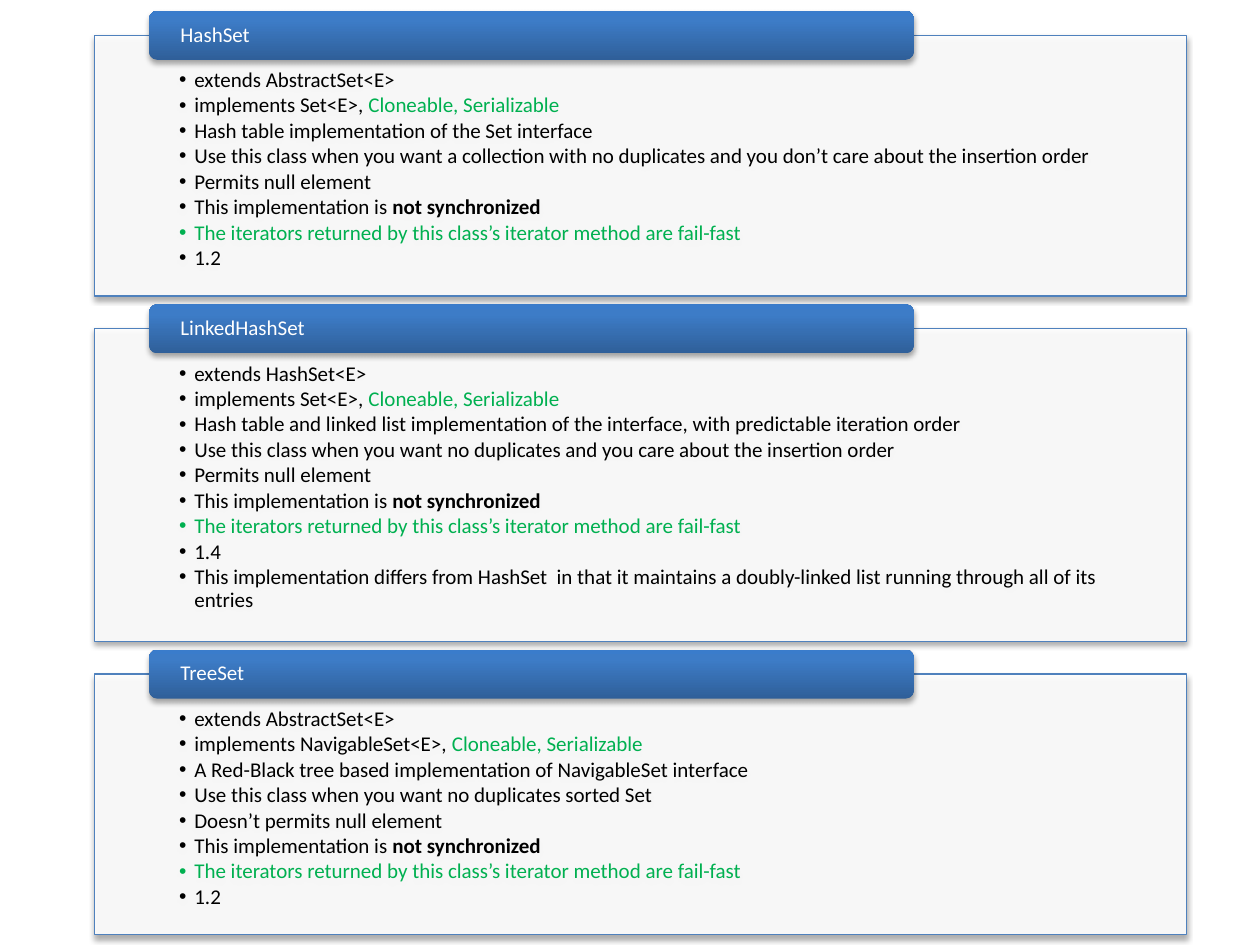
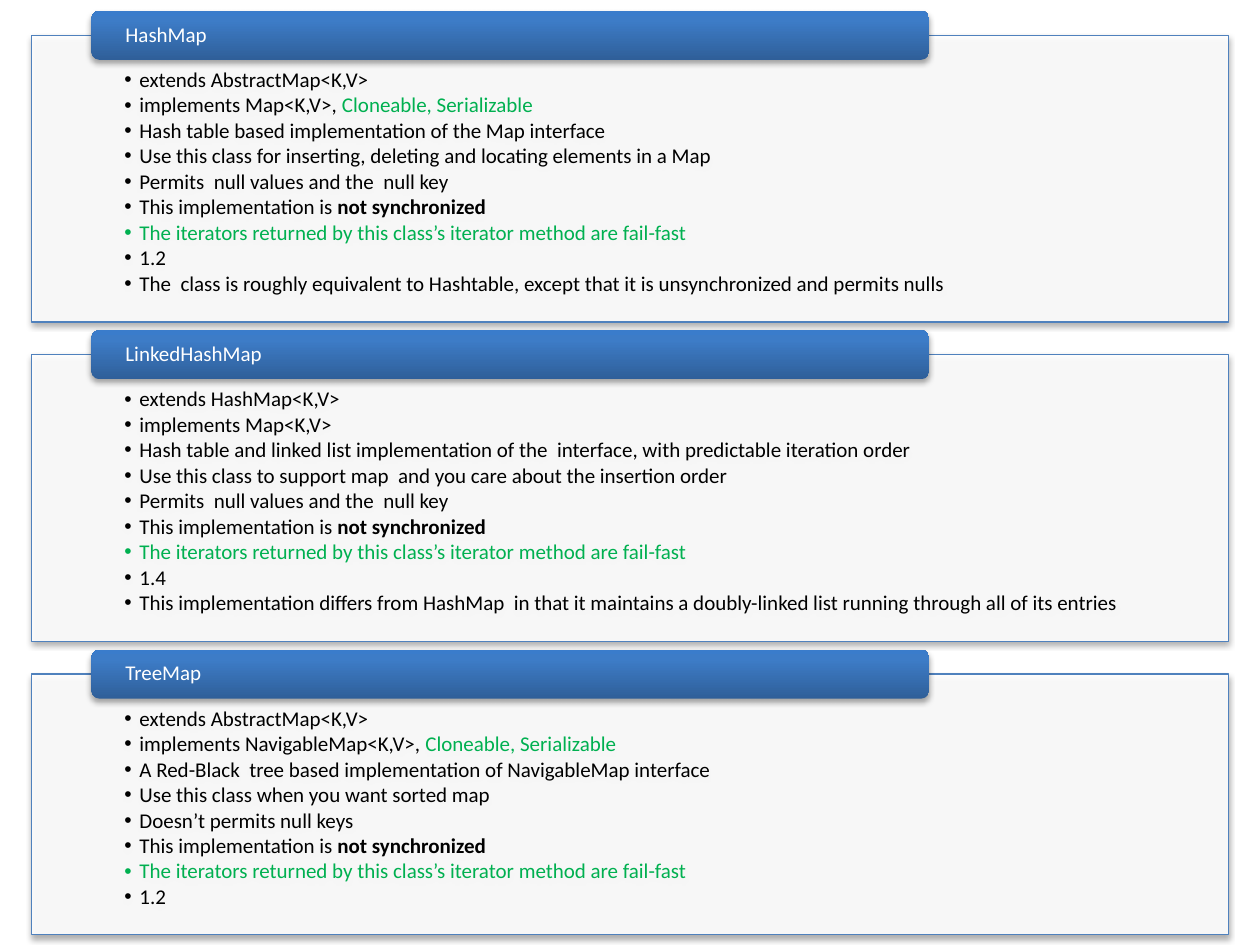
import copy

import pptx
import pptx.dml.color
import pptx.enum.shapes
import pptx.enum.text
import pptx.oxml.ns
import pptx.oxml.xmlchemy
import pptx.util
from lxml import etree
from pptx.util import Inches

# Shared look
FONT = "Calibri"
TEXT_SIZE = 12
BLACK, WHITE, GREEN, BLUE = "000000", "FFFFFF", "00B050", "4F81BD"
TAB_GRADIENT = [(0, "2F5F99"), (0.8, "3D7CC7"), (1, "3A7CCB")]

# Shared vertical rhythm, in inches
FIRST_TOP = 0.28
PANEL_GAP = 0.26
PANEL_PADDING = 0.43
LINE_HEIGHT = 0.205
TAB_HEIGHT = 0.39

# Bullets are lists of (text, colour, bold) spans
NOT_SYNCHRONIZED = [("This implementation is ", BLACK, False),
                    ("not synchronized", BLACK, True)]
FAIL_FAST = [("The iterators returned by this class’s iterator method are fail-fast",
              GREEN, False)]


def plain(text):
    return [(text, BLACK, False)]


def implements(interface):
    return [(f"implements {interface}, ", BLACK, False),
            ("Cloneable, Serializable", GREEN, False)]


def class_bullets(parent, interface, description, usage, nulls, version, *remarks):
    """The bullets that every collection class has, in their fixed order."""
    return [plain(f"extends {parent}"), interface, plain(description), plain(usage),
            plain(nulls), NOT_SYNCHRONIZED, FAIL_FAST, plain(version),
            *[plain(remark) for remark in remarks]]


# Each panel: class name, number of text lines, bullets
SETS = [
    ("HashSet", 8, class_bullets(
        "AbstractSet<E>", implements("Set<E>"),
        "Hash table implementation of the Set interface",
        "Use this class when you want a collection with no duplicates "
        "and you don’t care about the insertion order",
        "Permits null element", "1.2")),
    ("LinkedHashSet", 10, class_bullets(
        "HashSet<E>", implements("Set<E>"),
        "Hash table and linked list implementation of the\u00a0interface, "
        "with predictable iteration order",
        "Use this class when you want no duplicates and you care about the insertion order",
        "Permits null element", "1.4",
        "This implementation differs from\u00a0HashSet \u00a0in that it maintains "
        "a doubly-linked list running through all of its entries")),
    ("TreeSet", 8, class_bullets(
        "AbstractSet<E>", implements("NavigableSet<E>"),
        "A Red-Black tree based implementation of NavigableSet interface",
        "Use this class when you want no duplicates sorted Set",
        "Doesn’t permits null element", "1.2")),
]
NULL_KEY = "Permits\u00a0\u00a0null values and the\u00a0 null\u00a0key"
MAPS = [
    ("HashMap", 9, class_bullets(
        "AbstractMap<K,V>", implements("Map<K,V>"),
        "Hash table based implementation of the\u00a0Map interface",
        "Use this class for inserting, deleting and locating elements in a Map",
        NULL_KEY, "1.2",
        "The\u00a0\u00a0class is roughly equivalent to\u00a0Hashtable, "
        "except that it is unsynchronized and permits nulls")),
    ("LinkedHashMap", 9, class_bullets(
        "HashMap<K,V>", plain("implements Map<K,V>"),
        "Hash table and linked list implementation of the\u00a0\u00a0interface, "
        "with predictable iteration order",
        "Use this class to support map  and you care about the insertion order",
        NULL_KEY, "1.4",
        "This implementation differs from HashMap\u00a0\u00a0in that it maintains "
        "a doubly-linked list running through all of its entries")),
    ("TreeMap", 8, class_bullets(
        "AbstractMap<K,V>", implements("NavigableMap<K,V>"),
        "A Red-Black  tree based implementation of NavigableMap interface",
        "Use this class when you want sorted map",
        "Doesn’t permits null keys", "1.2")),
]


def color(hex_string):
    return pptx.dml.color.RGBColor.from_string(hex_string)


def add_element(parent, tag, **attributes):
    return etree.SubElement(parent, pptx.oxml.ns.qn(tag), attributes)


def add_box(page, kind, left, top, width, height):
    """A preset shape with the soft shadow below it."""
    box = page.shapes.add_shape(kind, Inches(left), Inches(top),
                                Inches(width), Inches(height))
    box.shadow.inherit = False
    effects = box._element.spPr.find(pptx.oxml.ns.qn("a:effectLst"))
    shadow = add_element(effects, "a:outerShdw", blurRad="39400", dist="22900",
                         dir="5400000", rotWithShape="0")
    shade = add_element(shadow, "a:srgbClr", val=BLACK)
    add_element(shade, "a:alpha", val="35000")
    return box


def set_frame(box, side, top, bottom, anchor):
    frame = box.text_frame
    frame.word_wrap = True
    frame.vertical_anchor = anchor
    frame.margin_left = frame.margin_right = Inches(side)
    frame.margin_top, frame.margin_bottom = Inches(top), Inches(bottom)
    return frame


def write_spans(para, spans):
    para.alignment = pptx.enum.text.PP_ALIGN.LEFT
    para.line_spacing = 0.9
    for text, hex_string, bold in spans:
        span = para.add_run()
        span.text = text
        span.font.name = FONT
        span.font.size = pptx.util.Pt(TEXT_SIZE)
        span.font.bold = bold
        span.font.color.rgb = color(hex_string)


def make_bullet(para):
    para.level = 1
    para.space_after = pptx.util.Pt(1.6)
    properties = para._p.get_or_add_pPr()
    properties.set("marL", str(Inches(0.12)))
    properties.set("indent", str(Inches(-0.12)))
    add_element(properties, "a:buFont", typeface="Arial")
    add_element(properties, "a:buChar", char="•")


def add_panel(page, left, top, width, height, bullets):
    panel = add_box(page, pptx.enum.shapes.MSO_SHAPE.RECTANGLE, left, top, width, height)
    panel.fill.solid()
    panel.fill.fore_color.rgb = color(WHITE)
    fill = panel._element.spPr.find(pptx.oxml.ns.qn("a:solidFill"))
    add_element(fill[0], "a:alpha", val="90000")
    panel.line.color.rgb = color(BLUE)
    panel.line.width = pptx.util.Pt(0.75)
    frame = set_frame(panel, 0.0776 * width, 0.27, 0.09, pptx.enum.text.MSO_ANCHOR.TOP)
    for index, spans in enumerate(bullets):
        para = frame.add_paragraph() if index else frame.paragraphs[0]
        write_spans(para, spans)
        make_bullet(para)


def add_tab(page, left, top, width, name):
    """The class name on a gradient tab over the panel's upper edge."""
    tab = add_box(page, pptx.enum.shapes.MSO_SHAPE.ROUNDED_RECTANGLE,
                  left + 0.05 * width, top - TAB_HEIGHT / 2, 0.7 * width, TAB_HEIGHT)
    tab.line.fill.background()
    tab.fill.gradient()
    tab.fill.gradient_angle = 90
    stop_list = tab._element.spPr.find(".//" + pptx.oxml.ns.qn("a:gsLst"))
    stop_list.append(copy.deepcopy(stop_list[0]))
    for stop, (position, hex_string) in zip(tab.fill.gradient_stops, TAB_GRADIENT):
        stop.position = position
        stop.color.rgb = color(hex_string)
    frame = set_frame(tab, 0.0265 * width, 0, 0, pptx.enum.text.MSO_ANCHOR.MIDDLE)
    write_spans(frame.paragraphs[0], [(name, WHITE, False)])


def add_class_page(deck, left, width, panels):
    page = deck.slides.add_slide(deck.slide_layouts[6])
    top = FIRST_TOP
    for name, lines, bullets in panels:
        height = PANEL_PADDING + LINE_HEIGHT * lines
        add_panel(page, left, top, width, height, bullets)
        add_tab(page, left, top, width, name)
        top += height + PANEL_GAP


def main():
    deck = pptx.Presentation()
    deck.slide_width, deck.slide_height = Inches(10), Inches(7.5)
    add_class_page(deck, 0.75, 8.67, SETS)
    add_class_page(deck, 0.25, 9.5, MAPS)
    deck.save("out.pptx")


main()
